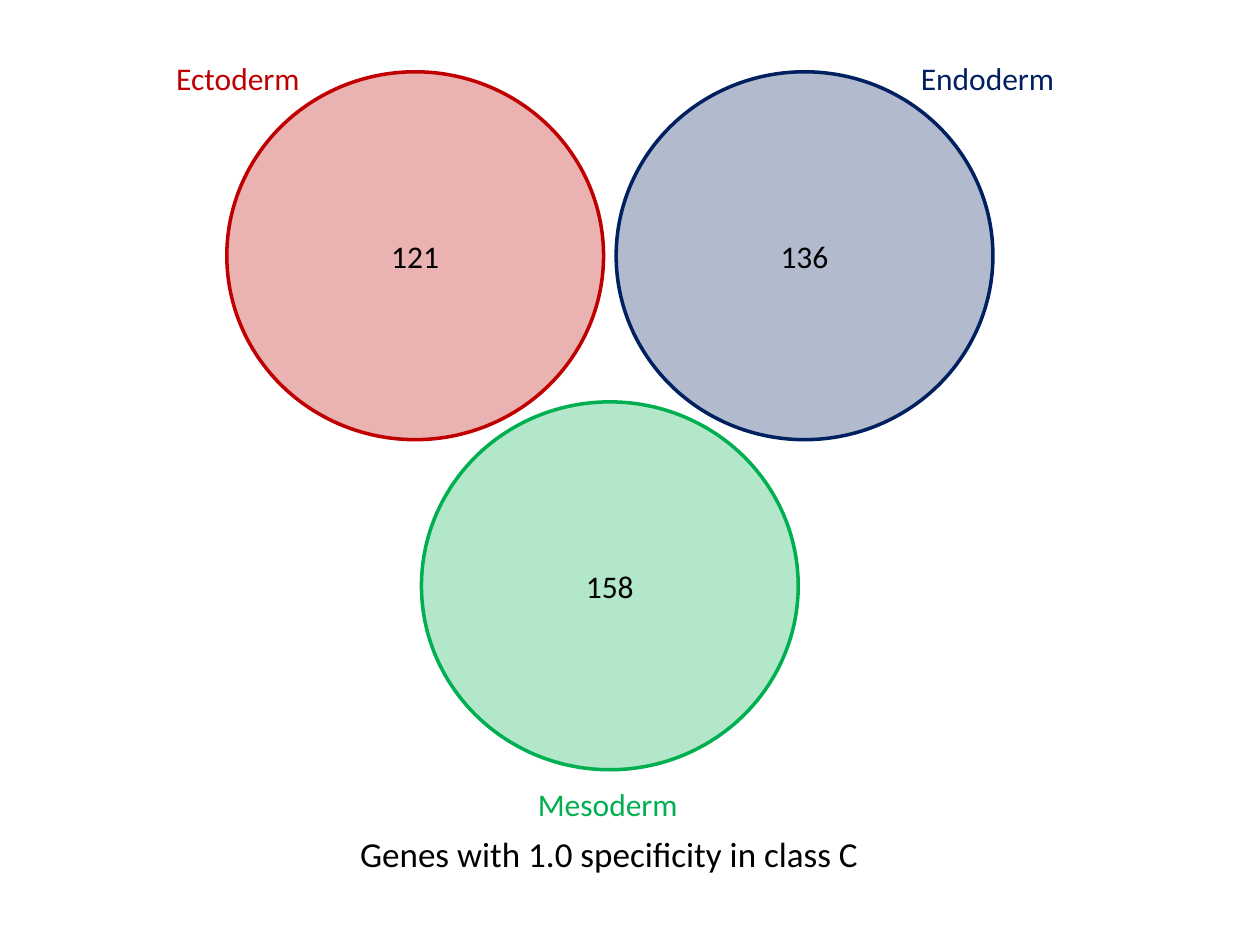
from dataclasses import dataclass

import pptx
import pptx.dml.color
import pptx.enum.shapes
import pptx.enum.text
import pptx.oxml.ns
import pptx.util
from lxml import etree

ALIGN = pptx.enum.text.PP_ALIGN
COLORS = {"ectoderm": "C00000", "endoderm": "002060",
          "mesoderm": "00B050", "text": "000000"}
FONT = "Calibri"

# Positions are percentages of the slide's width and height
CIRCLE_W, CIRCLE_H = 29.9, 38.93
LEFT, STEP = 18, 30.9
TOP, BOTTOM = 7.6, 42.53
COUNT_W, TEXT_H = 8.3, 5.33
FILL_ALPHA = 30


@dataclass
class GermLayer:
    name: str
    count: int
    column: float  # in circle steps from the left circle
    top: float
    label_x: float
    label_y: float
    label_w: float


LAYERS = [
    GermLayer("Ectoderm", 121, 0, TOP, 13, 5.6, 12.5),
    GermLayer("Endoderm", 136, 1, TOP, 72.1, 5.6, 13.3),
    GermLayer("Mesoderm", 158, 0.5, BOTTOM, 41.7, 82.4, 13.3),
]

prs = pptx.Presentation()
prs.slide_width = pptx.util.Inches(10)
prs.slide_height = pptx.util.Inches(7.5)


def box(x: float, y: float, w: float, h: float) -> tuple[int, int, int, int]:
    """Turn percentages of the slide into lengths."""
    across, down = prs.slide_width / 100, prs.slide_height / 100
    return round(x * across), round(y * down), round(w * across), round(h * down)


def rgb(key: str) -> pptx.dml.color.RGBColor:
    return pptx.dml.color.RGBColor.from_string(COLORS[key])


def write(sp, text: str, color: str, size: int, align=ALIGN.LEFT) -> None:
    tf = sp.text_frame
    tf.text = text
    tf.word_wrap = True
    tf.auto_size = pptx.enum.text.MSO_AUTO_SIZE.SHAPE_TO_FIT_TEXT
    tf.vertical_anchor = pptx.enum.text.MSO_ANCHOR.TOP
    p = tf.paragraphs[0]
    p.alignment = align
    p.font.name = FONT
    p.font.size = pptx.util.Pt(size)
    p.font.color.rgb = rgb(color)


def draw_circle(s, layer: GermLayer) -> None:
    sp = s.shapes.add_shape(
        pptx.enum.shapes.MSO_SHAPE.OVAL,
        *box(LEFT + layer.column * STEP, layer.top, CIRCLE_W, CIRCLE_H))
    sp.shadow.inherit = False
    color = rgb(layer.name.lower())
    sp.fill.solid()
    sp.fill.fore_color.rgb = color
    sp.line.color.rgb = color
    sp.line.width = pptx.util.Pt(2)
    fill = sp.fill._xPr.find(pptx.oxml.ns.qn("a:solidFill"))
    etree.SubElement(fill[0], pptx.oxml.ns.qn("a:alpha"), val=str(FILL_ALPHA * 1000))


def draw_label(s, layer: GermLayer) -> None:
    sp = s.shapes.add_textbox(
        *box(layer.label_x, layer.label_y, layer.label_w, TEXT_H))
    write(sp, layer.name, layer.name.lower(), 18)


def draw_count(s, layer: GermLayer) -> None:
    x = LEFT + layer.column * STEP + (CIRCLE_W - COUNT_W) / 2
    y = layer.top + (CIRCLE_H - TEXT_H) / 2
    sp = s.shapes.add_textbox(*box(x, y, COUNT_W, TEXT_H))
    write(sp, str(layer.count), "text", 18, ALIGN.CENTER)


def main() -> None:
    s = prs.slides.add_slide(prs.slide_layouts[5])

    # Title below the diagram
    title = s.shapes.title
    title.left, title.top, title.width, title.height = box(23.4, 87.47, 49.9, 5.87)
    write(title, "Genes with 1.0 specificity in class C", "text", 20, ALIGN.CENTER)

    # Circles first, then their names and counts
    for draw in (draw_circle, draw_label, draw_count):
        for layer in LAYERS:
            draw(s, layer)

    prs.save("out.pptx")


if __name__ == "__main__":
    main()
